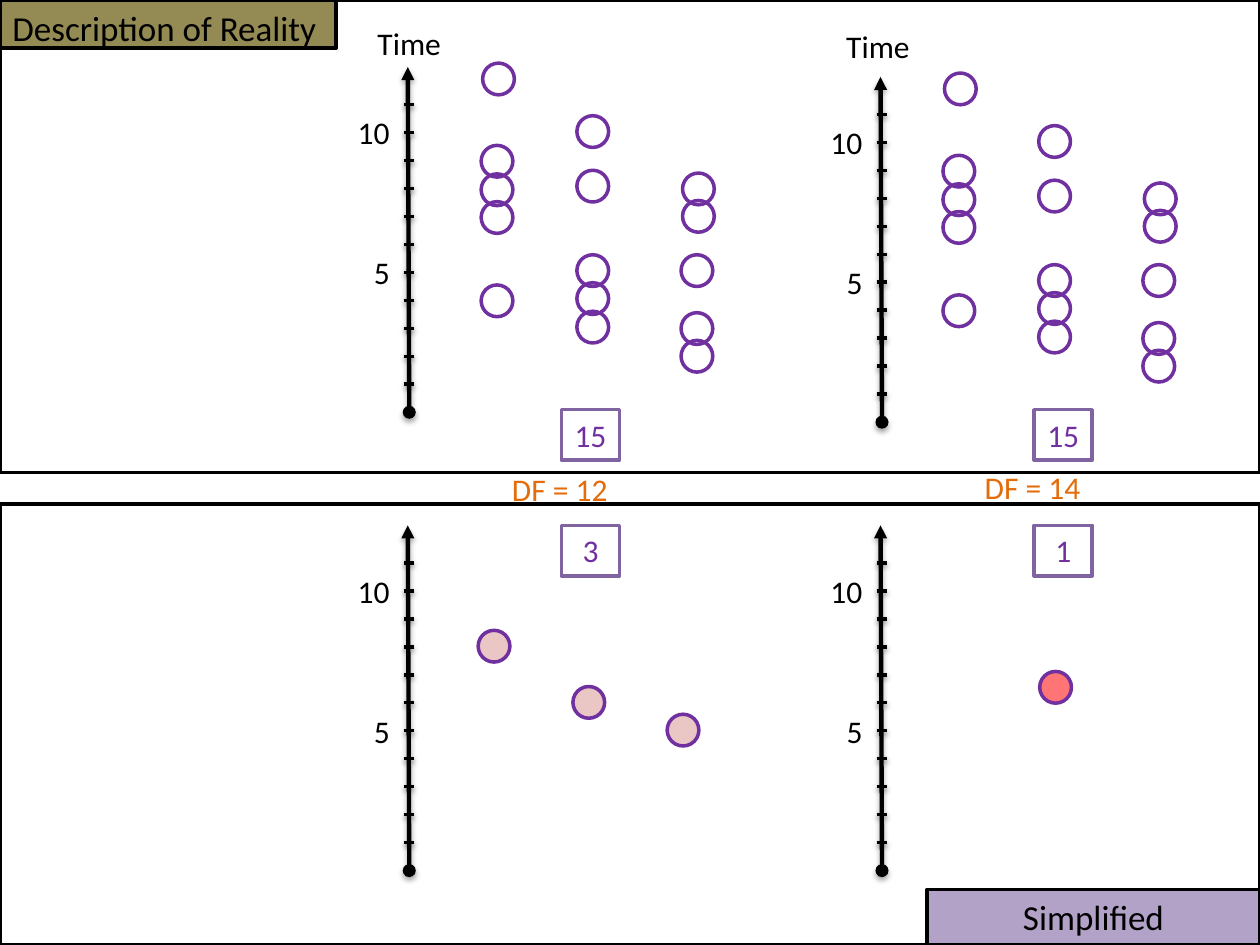
import collections

import lxml.etree
import pptx
import pptx.dml.color
import pptx.enum.shapes
import pptx.enum.text
import pptx.oxml.ns
import pptx.util

Cm = pptx.util.Cm
Pt = pptx.util.Pt
SHAPE = pptx.enum.shapes.MSO_SHAPE
ALIGN = pptx.enum.text.PP_ALIGN
Box = collections.namedtuple("Box", "left top width height")

BLACK, PURPLE, ORANGE = "000000", "7030A0", "E46C0A"
TICK_GAP = 0.564
AXIS_X = 1.27
DOT_SIZE = 0.64
LABEL_HEIGHT = 1.02
TICK_LABELS = {5: 0.84, 10: 1.17}  # value: width of its label

# Columns of dots: (distance from the axis, value) pairs
GROUP_DOTS = [
    [(1.77, 3.98), (1.77, 7.95), (1.77, 8.97), (1.77, 6.96), (1.8, 11.91)],
    [(3.7, 3.04), (3.7, 4.06), (3.7, 8.08), (3.7, 10.03), (3.7, 5.06)],
    [(5.8, 5.06), (5.83, 7.98), (5.8, 2.99), (5.83, 7), (5.8, 2)],
]
GROUP_MEANS = [[(1.71, 8.02)], [(3.62, 6.01)], [(5.52, 5.02)]]
GRAND_MEAN = [[(3.5, 6.55)]]


def color(hex_text):
    return pptx.dml.color.RGBColor.from_string(hex_text)


def add_xml(parent, tag, **attributes):
    child = lxml.etree.SubElement(parent, pptx.oxml.ns.qn(tag))
    for name, value in attributes.items():
        child.set(name, str(value))
    return child


def write(frame, text, size, hex_text, align=ALIGN.LEFT, wrap=True):
    frame.word_wrap = wrap
    frame.vertical_anchor = pptx.enum.text.MSO_ANCHOR.TOP
    frame.text = text
    para = frame.paragraphs[0]
    para.alignment = align
    para.font.name = "Calibri"
    para.font.size = Pt(size)
    para.font.color.rgb = color(hex_text)


def add_outlined(shapes, kind, box, line, fill=None, alpha=None):
    shape = shapes.add_shape(kind, *map(Cm, box))
    shape.shadow.inherit = False
    shape.line.color.rgb = color(line)
    shape.line.width = Pt(2)
    if fill is None:
        shape.fill.background()
    else:
        shape.fill.solid()
        shape.fill.fore_color.rgb = color(fill)
    if alpha is not None:
        tint = shape.fill._xPr.find(".//" + pptx.oxml.ns.qn("a:srgbClr"))
        add_xml(tint, "a:alpha", val=alpha * 1000)
    return shape


def add_label(shapes, box, text, hex_text=BLACK, align=ALIGN.LEFT, wrap=False):
    label = shapes.add_textbox(*map(Cm, box))
    write(label.text_frame, text, 18, hex_text, align, wrap)


def add_shadowed_line(shapes, start, end, width, distance, alpha):
    line = shapes.add_connector(
        pptx.enum.shapes.MSO_CONNECTOR.STRAIGHT, *map(Cm, start + end))
    line.line.color.rgb = color(BLACK)
    line.line.width = Pt(width)
    effects = add_xml(line._element.spPr, "a:effectLst")
    shadow = add_xml(effects, "a:outerShdw", blurRad=Pt(3.1), dist=Pt(distance),
                     dir=5400000, rotWithShape=0)
    tint = add_xml(shadow, "a:srgbClr", val=BLACK)
    add_xml(tint, "a:alpha", val=alpha * 1000)
    return line


def add_axis(page, plot):
    shapes = page.shapes.add_group_shape().shapes
    zero = plot.top + plot.height
    axis = add_shadowed_line(shapes, (plot.left + AXIS_X, zero),
                             (plot.left + AXIS_X - 0.03, plot.top), 2.5, 1.8, 35)
    outline = axis.line._get_or_add_ln()
    add_xml(outline, "a:headEnd", type="oval")
    add_xml(outline, "a:tailEnd", type="triangle")
    for value in range(1, 12):
        y = zero - value * TICK_GAP
        add_shadowed_line(shapes, (plot.left + 1.16, y), (plot.left + 1.37, y),
                          2, 1.6, 38)
    for value, width in TICK_LABELS.items():
        top = zero - value * TICK_GAP - LABEL_HEIGHT / 2
        box = Box(plot.left + 1.15 - width, top, width, LABEL_HEIGHT)
        add_label(shapes, box, str(value))


def add_dots(page, plot, columns, shift=0, fill=None, alpha=None):
    """Place each column of dots by its values on the plot's axis."""
    zero = plot.top + plot.height
    for column in columns:
        shapes = page.shapes.add_group_shape().shapes
        for distance, value in column:
            box = Box(plot.left + AXIS_X + distance + shift - DOT_SIZE / 2,
                      zero - value * TICK_GAP - DOT_SIZE / 2, DOT_SIZE, DOT_SIZE)
            add_outlined(shapes, SHAPE.OVAL, box, PURPLE, fill, alpha)


def add_count(page, plot, top, text):
    box = Box(plot.left + 4.34, top, 1.17, LABEL_HEIGHT)
    count = add_outlined(page.shapes, SHAPE.RECTANGLE, box, "8064A2", "FFFFFF")
    write(count.text_frame, text, 18, PURPLE, ALIGN.CENTER)


def add_panel(page, panel, title_box, title, fill, align):
    """Draw a frame with its title; title_box is relative to the panel."""
    shapes = page.shapes.add_group_shape().shapes
    box = title_box._replace(left=panel.left + title_box.left,
                             top=panel.top + title_box.top)
    tag = add_outlined(shapes, SHAPE.RECTANGLE, box, BLACK, fill)
    write(tag.text_frame, title, 20, BLACK, align)
    add_outlined(shapes, SHAPE.RECTANGLE, panel, BLACK)


def add_reality_plot(page, plot, panel, time_box, dot_shift):
    add_axis(page, plot)
    add_dots(page, plot, GROUP_DOTS, dot_shift)
    add_count(page, plot, panel.top + 8.26, "15")
    box = time_box._replace(left=plot.left + time_box.left,
                            top=panel.top + time_box.top)
    add_label(page.shapes, box, "Time")


def add_simplified_plot(page, plot, means, fill, count, freedom, freedom_top):
    add_axis(page, plot)
    add_dots(page, plot, means, fill=fill, alpha=54)
    add_count(page, plot, plot.top, count)
    box = Box(plot.left + 2.34, freedom_top, 3.18, LABEL_HEIGHT)
    add_label(page.shapes, box, freedom, ORANGE, ALIGN.RIGHT, wrap=True)


def main():
    deck = pptx.Presentation()
    deck.slide_width, deck.slide_height = Cm(25.4), Cm(19.05)
    page = deck.slides.add_slide(deck.slide_layouts[6])

    reality = Box(0, 0, 25.4, 9.53)
    simplified = Box(0, 10.16, 25.4, 8.89)
    add_panel(page, reality, Box(0, 0, 6.78, 0.97),
              "Description of Reality", "948A54", ALIGN.LEFT)
    add_panel(page, simplified, Box(18.69, 7.77, 6.71, 1.12),
              "Simplified", "B3A2C7", ALIGN.CENTER)

    left, right = 6.98, 16.51
    width, height = 7.62, 6.96
    add_reality_plot(page, Box(left, 1.35, width, height), reality,
                     Box(0.38, 0.36, 1.8, LABEL_HEIGHT), 0)
    add_reality_plot(page, Box(right, 1.55, width, height), reality,
                     Box(0.3, 0.43, 1.8, LABEL_HEIGHT), -0.22)
    add_simplified_plot(page, Box(left, 10.59, width, height), GROUP_MEANS,
                        "D99694", "3", "DF = 12", 9.35)
    add_simplified_plot(page, Box(right, 10.59, width, height), GRAND_MEAN,
                        "FF0000", "1", "DF = 14", 9.32)
    deck.save("out.pptx")


if __name__ == "__main__":
    main()
